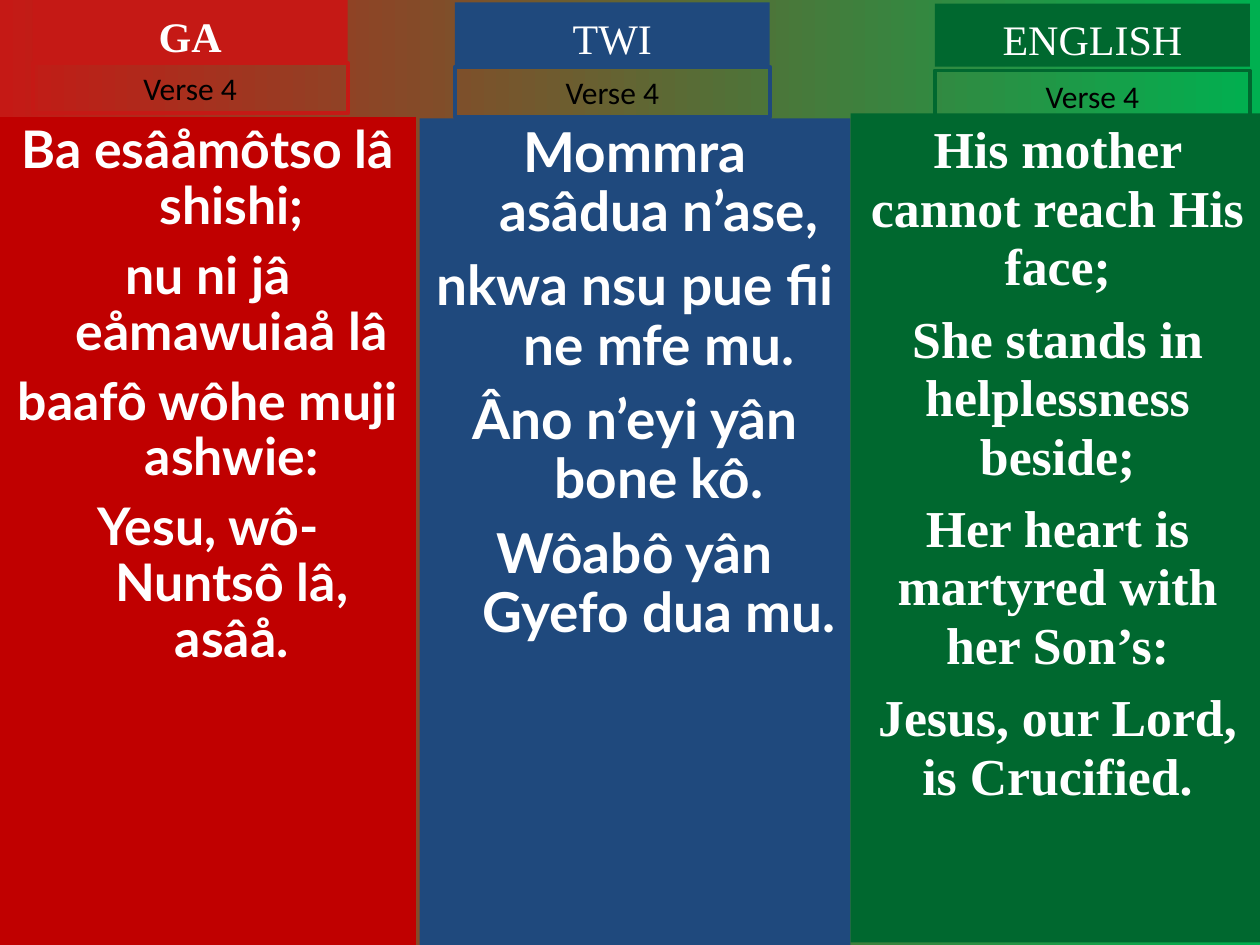
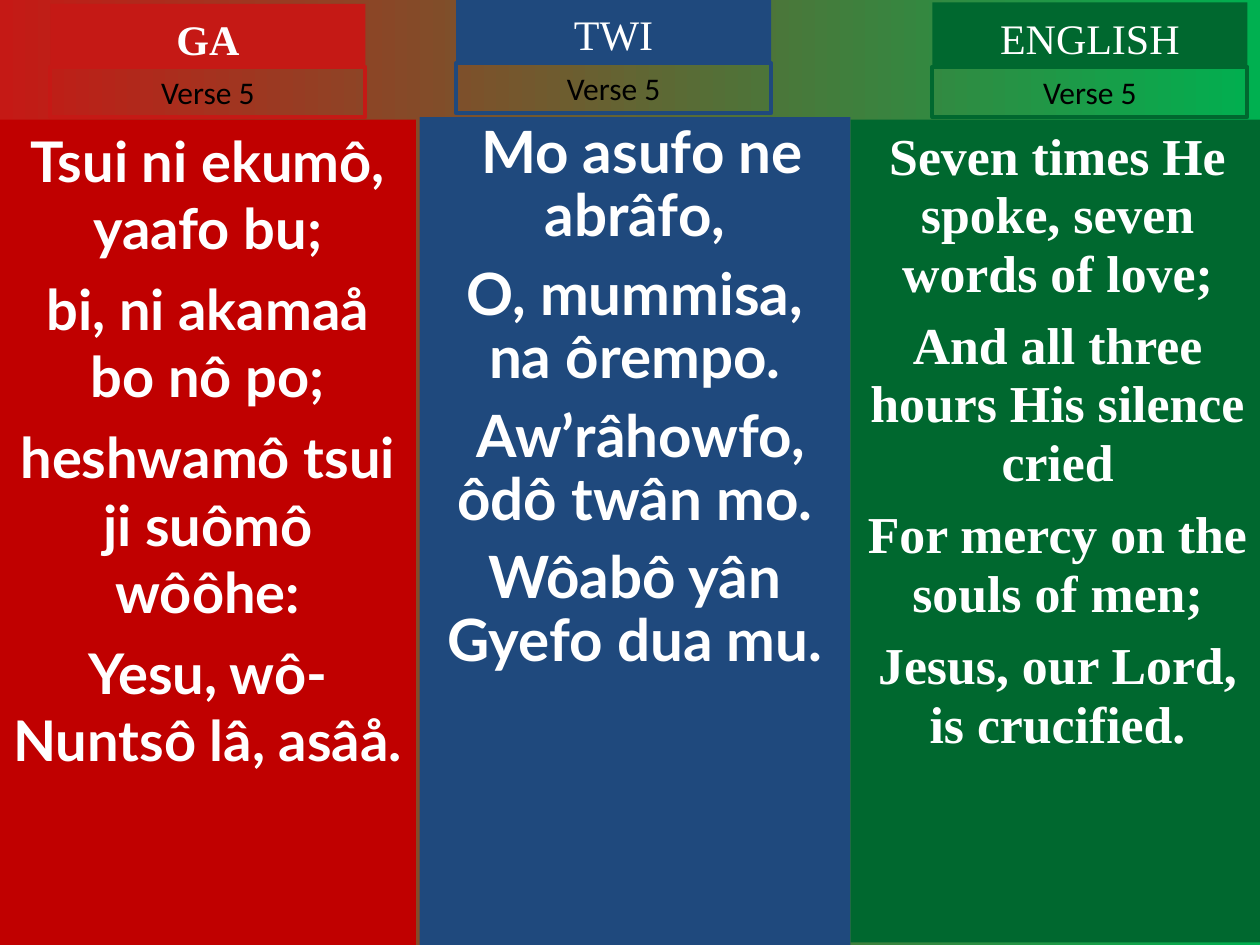
import dataclasses
import typing

import lxml.etree
import pptx
import pptx.dml.color
import pptx.enum.shapes
import pptx.enum.text
import pptx.oxml.ns
import pptx.util

PX = 9144
COMPARISON_LAYOUT = 4


@dataclasses.dataclass(frozen=True)
class Theme:
    ga_bar: str = "C51915"
    ga_column: str = "C00000"
    twi: str = "1F497D"
    english: str = "00682F"
    fade_end: str = "00B050"
    light: str = "FFFFFF"
    dark: str = "000000"
    serif: str = "Times New Roman"
    lyric: str = "Lato"
    label: str = "Calibri"
    heading_size: float = 24
    label_size: float = 18
    border: float = 2.25


@dataclasses.dataclass(frozen=True)
class TextStyle:
    font: str
    size: float
    color: str
    bold: bool = False
    line_spacing: float = 1.0
    gap: float = 0
    hanging: int = 0
    top_inset: int = 5


class Box(typing.NamedTuple):
    left: int
    top: int
    width: int
    height: int


@dataclasses.dataclass(frozen=True)
class Language:
    name: str
    bar: str
    column: str
    left: int
    width: int
    bold: bool = False


@dataclasses.dataclass(frozen=True)
class Verse:
    heading_left: int
    heading_top: int
    label_top: int
    column_top: int
    column_bottom: int
    style: TextStyle
    lines: tuple[str, ...]


THEME = Theme()
LANGUAGES = (
    Language("GA", THEME.ga_bar, THEME.ga_column, 0, 330, True),
    Language("TWI", THEME.twi, THEME.twi, 333, 342),
    Language("ENGLISH", THEME.english, THEME.english, 675, 329),
)
LABEL = TextStyle(THEME.label, THEME.label_size, THEME.dark)
ENGLISH = TextStyle(THEME.serif, 29.6, THEME.light, True, 0.94, 8, top_inset=7)


def lyric(size: float, gap: float, spacing: float = 0.9, hanging: int = 0) -> TextStyle:
    return TextStyle(THEME.lyric, size, THEME.light, True, spacing, gap, hanging)


PAGES = {
    "Verse 4": (
        Verse(26, 0, 50, 93, 750, lyric(29.6, 8, hanging=38), (
            "Ba esâåmôtso lâ shishi;", "nu ni jâ eåmawuiaå lâ",
            "baafô wôhe muji ashwie:", "Yesu, wô-Nuntsô lâ, asâå.")),
        Verse(361, 2, 53, 94, 750, lyric(31.4, 8.5, hanging=38), (
            "Mommra asâdua n’ase,", "nkwa nsu pue fii ne mfe mu.",
            "Âno n’eyi yân bone kô.", "Wôabô yân Gyefo dua mu.")),
        Verse(742, 3, 56, 90, 748, ENGLISH, (
            "His mother cannot reach His face;", "She stands in helplessness beside;",
            "Her heart is martyred with her Son’s:", "Jesus, our Lord, is Crucified.")),
    ),
    "Verse 5": (
        Verse(40, 3, 53, 95, 750, lyric(32, 8, 1.0), (
            "Tsui ni ekumô, yaafo bu;", "bi, ni akamaå bo nô po;",
            "heshwamô tsui ji suômô wôôhe:", "Yesu, wô-Nuntsô lâ, asâå.")),
        Verse(362, -1, 50, 93, 750, lyric(33.3, 9), (
            " Mo asufo ne abrâfo,", "O, mummisa, na ôrempo.",
            " Aw’râhowfo, ôdô twân mo.", "Wôabô yân Gyefo dua mu.")),
        Verse(740, 2, 53, 95, 748, ENGLISH, (
            "Seven times He spoke, seven words of love;", "And all three hours His silence cried",
            "For mercy on the souls of men;", "Jesus, our Lord, is crucified.")),
    ),
}


def rgb(code: str) -> pptx.dml.color.RGBColor:
    return pptx.dml.color.RGBColor.from_string(code)


def place(shape, box: Box) -> None:
    shape.left, shape.top, shape.width, shape.height = (length * PX for length in box)


def add_rectangle(page):
    shape = page.shapes.add_shape(pptx.enum.shapes.MSO_SHAPE.RECTANGLE, 0, 0, PX, PX)
    shape.shadow.inherit = False
    return shape


def paint(shape, fill: str | None, line: str | None = None) -> None:
    if fill:
        shape.fill.solid()
        shape.fill.fore_color.rgb = rgb(fill)
    else:
        shape.fill.background()
    if line:
        shape.line.color.rgb = rgb(line)
        shape.line.width = pptx.util.Pt(THEME.border)
    else:
        shape.line.fill.background()


def write(shape, lines: typing.Sequence[str], style: TextStyle) -> None:
    frame = shape.text_frame
    frame.word_wrap = True
    frame.auto_size = pptx.enum.text.MSO_AUTO_SIZE.NONE
    frame.vertical_anchor = pptx.enum.text.MSO_ANCHOR.TOP
    frame.margin_left = frame.margin_right = 10 * PX
    frame.margin_top, frame.margin_bottom = style.top_inset * PX, 5 * PX
    for index, line in enumerate(lines):
        para = frame.add_paragraph() if index else frame.paragraphs[0]
        para.text = line
        para.alignment = pptx.enum.text.PP_ALIGN.CENTER
        properties = para._p.get_or_add_pPr()
        properties.set("marL", str(style.hanging * PX))
        properties.set("indent", str(-style.hanging * PX))
        lxml.etree.SubElement(properties, pptx.oxml.ns.qn("a:buNone"))
        para.line_spacing = style.line_spacing
        para.space_before = pptx.util.Pt(style.gap if index else 0)
        para.font.name = style.font
        para.font.size = pptx.util.Pt(style.size)
        para.font.bold = style.bold
        para.font.color.rgb = rgb(style.color)


def draw_column(page, column, heading, language: Language, verse: Verse, label: str) -> None:
    place(column, Box(language.left, verse.column_top, language.width,
                      verse.column_bottom - verse.column_top))
    paint(column, language.column)
    write(column, verse.lines, verse.style)

    place(heading, Box(verse.heading_left, verse.heading_top, 250, 50))
    paint(heading, language.bar)
    write(heading, [language.name], TextStyle(
        THEME.serif, THEME.heading_size, THEME.light, language.bold, top_inset=8))

    tag = add_rectangle(page)
    place(tag, Box(verse.heading_left, verse.label_top, 250, 40))
    paint(tag, None, language.bar)
    write(tag, [label], LABEL)


def draw_page(deck, label: str, verses: typing.Sequence[Verse]) -> None:
    page = deck.slides.add_slide(deck.slide_layouts[COMPARISON_LAYOUT])
    backdrop = page.background.fill
    backdrop.gradient()
    backdrop.gradient_angle = 0
    for stop, color in zip(backdrop.gradient_stops, (THEME.ga_bar, THEME.fade_end)):
        stop.color.rgb = rgb(color)

    title, *columns, spare = page.placeholders
    spare.element.getparent().remove(spare.element)
    headings = [title, add_rectangle(page), add_rectangle(page)]
    for column, heading, language, verse in zip(columns, headings, LANGUAGES, verses):
        draw_column(page, column, heading, language, verse, label)


def main() -> None:
    deck = pptx.Presentation()
    deck.slide_width, deck.slide_height = 1000 * PX, 750 * PX
    for label, verses in PAGES.items():
        draw_page(deck, label, verses)
    deck.save("out.pptx")


if __name__ == "__main__":
    main()
